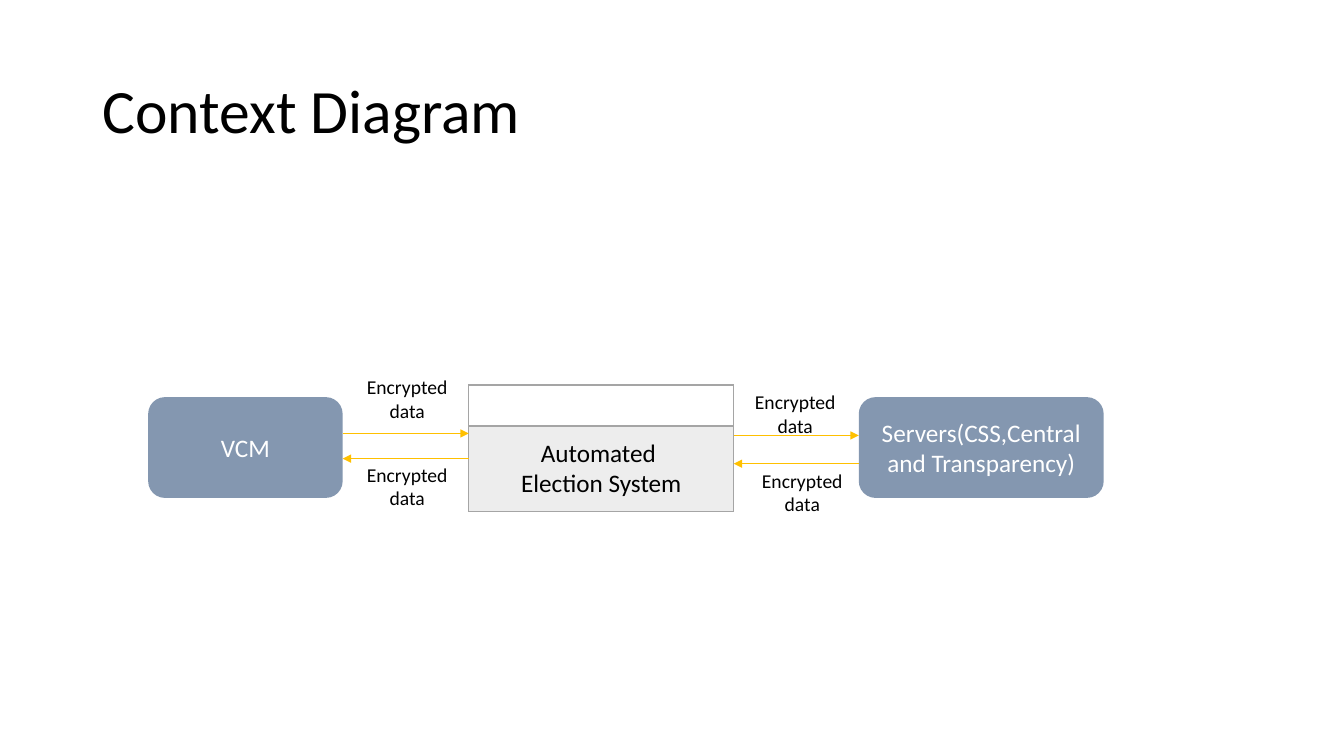
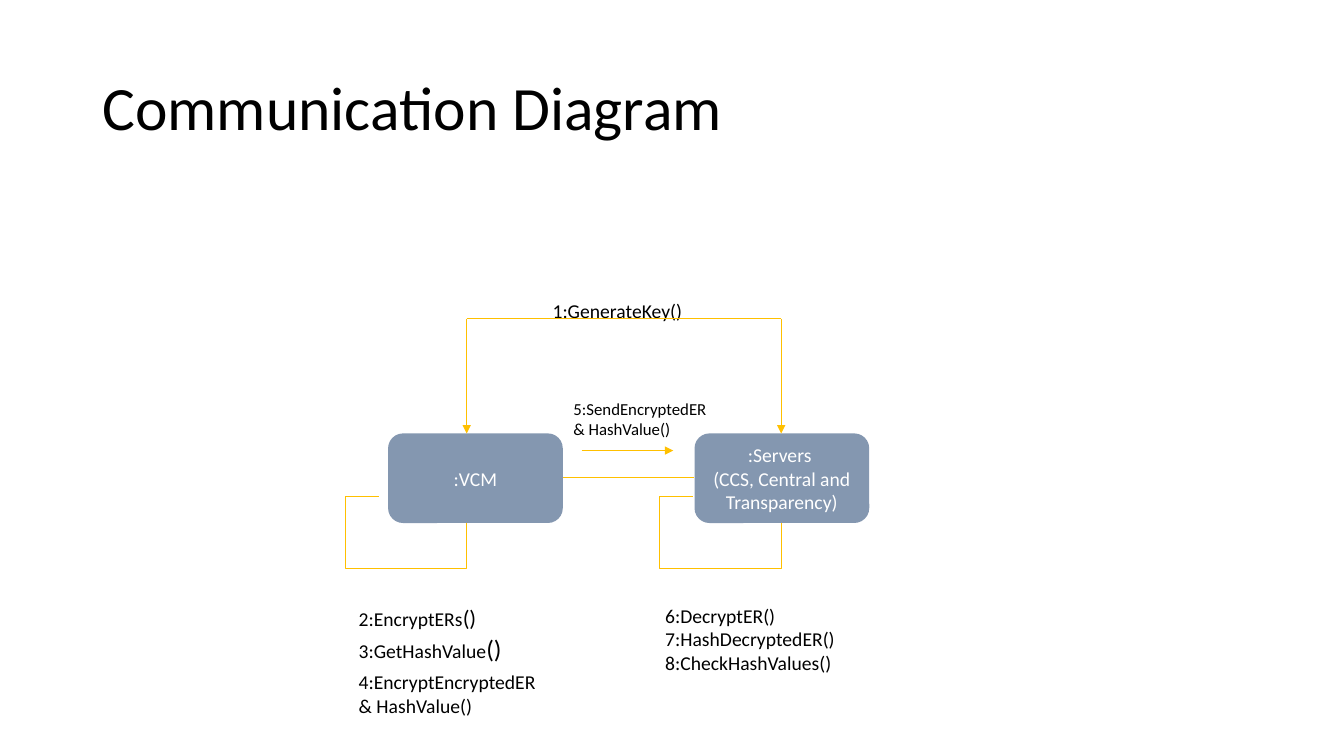
from dataclasses import dataclass

from lxml.etree import SubElement
from pptx import Presentation
from pptx.dml.color import RGBColor
from pptx.enum.shapes import MSO_CONNECTOR, MSO_SHAPE
from pptx.enum.text import MSO_ANCHOR, MSO_AUTO_SIZE, PP_ALIGN
from pptx.oxml.ns import qn
from pptx.util import Pt

FONT = "Calibri"
BLACK, WHITE = "000000", "FFFFFF"
NODE_FILL, ARROW_COLOR, TABLE_GRAY = "8497B0", "FFC000", "A5A5A5"


@dataclass(frozen=True)
class Node:
    """A rounded box with white centred text."""
    text: str
    left: float
    top: float
    width: float
    height: float
    size: float


@dataclass(frozen=True)
class Label:
    """A free text, optionally ending in a part of another size."""
    text: str
    left: float
    top: float
    width: float
    height: float
    size: float = 14
    align: PP_ALIGN = PP_ALIGN.LEFT
    ending: str = ""
    ending_size: float = 14


@dataclass(frozen=True)
class Line:
    """A straight line, with or without an arrowhead at its end."""
    start_x: float
    start_y: float
    end_x: float
    end_y: float
    arrow: bool = True


def color(value: str) -> RGBColor:
    """Turn a hex string into a colour."""
    return RGBColor.from_string(value)


def write(frame, text: str, *, size: float, fill: str = BLACK, align=PP_ALIGN.LEFT,
          anchor=MSO_ANCHOR.TOP, spacing: float = 1, ending: str = "",
          ending_size: float = 14) -> None:
    """Fill a text frame with one paragraph for each line of the text."""
    frame.word_wrap = True
    frame.auto_size = MSO_AUTO_SIZE.NONE
    frame.vertical_anchor = anchor
    for index, line in enumerate(text.split("\n")):
        paragraph = frame.add_paragraph() if index else frame.paragraphs[0]
        paragraph.alignment = align
        paragraph.line_spacing = spacing
        for content, points in ((line, size), (ending, ending_size)):
            if content:
                run = paragraph.add_run()
                run.text = content
                run.font.name = FONT
                run.font.size = Pt(points)
                run.font.color.rgb = color(fill)


def add_titled_slide(presentation, title: str, top: float):
    """Add a title-only slide and format its title."""
    slide = presentation.slides.add_slide(presentation.slide_layouts[5])
    shape = slide.shapes.title
    shape.left, shape.top, shape.width, shape.height = Pt(66), Pt(top), Pt(828), Pt(104.4)
    write(shape.text_frame, title, size=44, anchor=MSO_ANCHOR.MIDDLE, spacing=0.9)
    return slide


def draw_node(slide, node: Node) -> None:
    """Draw a rounded box."""
    shape = slide.shapes.add_shape(MSO_SHAPE.ROUNDED_RECTANGLE, Pt(node.left), Pt(node.top),
                                   Pt(node.width), Pt(node.height))
    shape.shadow.inherit = False
    shape.fill.solid()
    shape.fill.fore_color.rgb = color(NODE_FILL)
    shape.line.fill.background()
    write(shape.text_frame, node.text, size=node.size, fill=WHITE,
          align=PP_ALIGN.CENTER, anchor=MSO_ANCHOR.MIDDLE)


def draw_label(slide, label: Label) -> None:
    """Draw a text box."""
    box = slide.shapes.add_textbox(Pt(label.left), Pt(label.top),
                                   Pt(label.width), Pt(label.height))
    write(box.text_frame, label.text, size=label.size, align=label.align,
          ending=label.ending, ending_size=label.ending_size)


def draw_line(slide, line: Line, kind=MSO_CONNECTOR.STRAIGHT):
    """Draw a thin connector and return it."""
    connector = slide.shapes.add_connector(kind, Pt(line.start_x), Pt(line.start_y),
                                           Pt(line.end_x), Pt(line.end_y))
    connector.line.color.rgb = color(ARROW_COLOR)
    connector.line.width = Pt(0.5)
    properties = connector.element.spPr
    if line.arrow:
        SubElement(properties.find(qn("a:ln")), qn("a:tailEnd"), type="triangle")
    SubElement(properties, qn("a:effectLst"))
    return connector


def draw_loop(slide, start_x: float) -> None:
    """Draw a bent connector from the bottom of a node round to its left side."""
    left, top, width, height = start_x - 40.68, 332.64, 18.72, 62.64
    connector = draw_line(slide, Line(left, top, left + width, top + height, False),
                          MSO_CONNECTOR.ELBOW)
    properties = connector.element.spPr
    transform = properties.find(qn("a:xfrm"))
    transform.set("rot", "5400000")
    transform.set("flipH", "1")
    geometry = properties.find(qn("a:prstGeom"))
    geometry.set("prst", "bentConnector4")
    adjustments = geometry.find(qn("a:avLst"))
    for name, value in (("adj1", -174800), ("adj2", 138700)):
        SubElement(adjustments, qn("a:gd"), name=name, fmla=f"val {value}")


def add_borders(properties, widths: dict[str, float]) -> None:
    """Add gray borders of the given widths to a table cell."""
    for side, width in widths.items():
        border = SubElement(properties, qn(f"a:ln{side}"), w=str(Pt(width)))
        SubElement(SubElement(border, qn("a:solidFill")), qn("a:srgbClr"), val=TABLE_GRAY)


def draw_system_table(slide) -> None:
    """Draw the two-row table of the election system."""
    heights = (28.8, 61.2)
    frame = slide.shapes.add_table(2, 1, Pt(334.8), Pt(275.04), Pt(189.36), Pt(sum(heights)))
    table = frame.table
    table.first_row = table.horz_banding = False
    for row, height in zip(table.rows, heights):
        row.height = Pt(height)
    header_properties, body_properties = frame.element.iter(qn("a:tcPr"))
    add_borders(header_properties, {"L": 1, "R": 1, "T": 1, "B": 2})
    add_borders(body_properties, {"L": 1, "R": 1, "T": 2, "B": 1})
    table.cell(0, 0).fill.background()
    body = table.cell(1, 0)
    body.fill.solid()
    body.fill.fore_color.rgb = color(TABLE_GRAY)
    fill_color = body_properties.find(qn("a:solidFill")).find(qn("a:srgbClr"))
    SubElement(fill_color, qn("a:alpha"), val="20000")
    body.vertical_anchor = MSO_ANCHOR.MIDDLE
    write(body.text_frame, "Automated \nElection System", size=18, align=PP_ALIGN.CENTER,
          anchor=None)


def draw_diagram(slide, nodes: list[Node], labels: list[Label], lines: list[Line]) -> None:
    """Draw the nodes, labels and lines of a diagram."""
    for node in nodes:
        draw_node(slide, node)
    for label in labels:
        draw_label(slide, label)
    for line in lines:
        draw_line(slide, line)


def build_context_slide(presentation) -> None:
    """Build the context diagram."""
    slide = add_titled_slide(presentation, "Context Diagram", 28.8)
    draw_system_table(slide)
    nodes = [
        Node("VCM", 105.84, 283.68, 138.96, 72, 18),
        Node("Servers(CSS,Central and Transparency)", 613.44, 283.68, 174.96, 72, 18),
    ]
    label_places = ((251.28, 326.88), (251.28, 264.24), (528.48, 275.04), (533.52, 331.2))
    labels = [Label("Encrypted data", left, top, 79.2, 41.04, align=PP_ALIGN.CENTER)
              for left, top in label_places]
    lines = [
        Line(244.8, 309.6, 334.8, 309.6),
        Line(334.8, 327.6, 244.8, 327.6),
        Line(524.16, 311.04, 613.44, 311.04),
        Line(613.44, 331.2, 524.16, 331.2),
    ]
    draw_diagram(slide, nodes, labels, lines)


def build_communication_slide(presentation) -> None:
    """Build the communication diagram."""
    slide = add_titled_slide(presentation, "Communication Diagram", 26.64)
    machine_x, server_x, key_y, node_top = 333.36, 558, 227.52, 309.6
    nodes = [
        Node(":VCM", 277.2, node_top, 124.8, 64, 14),
        Node(":Servers \n(CCS, Central and Transparency)", 496.08, node_top, 124.8, 64, 14),
    ]
    labels = [
        Label("1:GenerateKey()", 318.24, 210.24, 245.52, 24.48, align=PP_ALIGN.CENTER),
        Label("2:EncryptERs", 249.12, 427.68, 166.32, 26.64, ending="()", ending_size=16),
        Label("3:GetHashValue", 249.12, 448.56, 122.4, 28.8, ending="()", ending_size=18),
        Label("4:EncryptEncryptedER \n& HashValue()", 249.12, 475.2, 141.12, 41.04),
        Label("5:SendEncryptedER\n& HashValue()", 402.48, 281.52, 124.8, 36, size=12),
        Label("6:DecryptER()\n7:HashDecryptedER()\n8:CheckHashValues()",
              468, 427.68, 187.92, 112),
    ]
    lines = [
        Line(402, 341.28, 496.08, 341.28, False),
        Line(415.44, 321.84, 480.96, 321.84),
        Line(machine_x, key_y, server_x, key_y, False),
        Line(machine_x, key_y, machine_x, node_top),
        Line(server_x, key_y, server_x, node_top),
    ]
    draw_diagram(slide, nodes, labels, lines)
    for start_x in (machine_x, server_x):
        draw_loop(slide, start_x)


def main() -> None:
    """Build and save the presentation."""
    presentation = Presentation()
    presentation.slide_width, presentation.slide_height = Pt(960), Pt(540)
    build_context_slide(presentation)
    build_communication_slide(presentation)
    presentation.save("out.pptx")


main()
